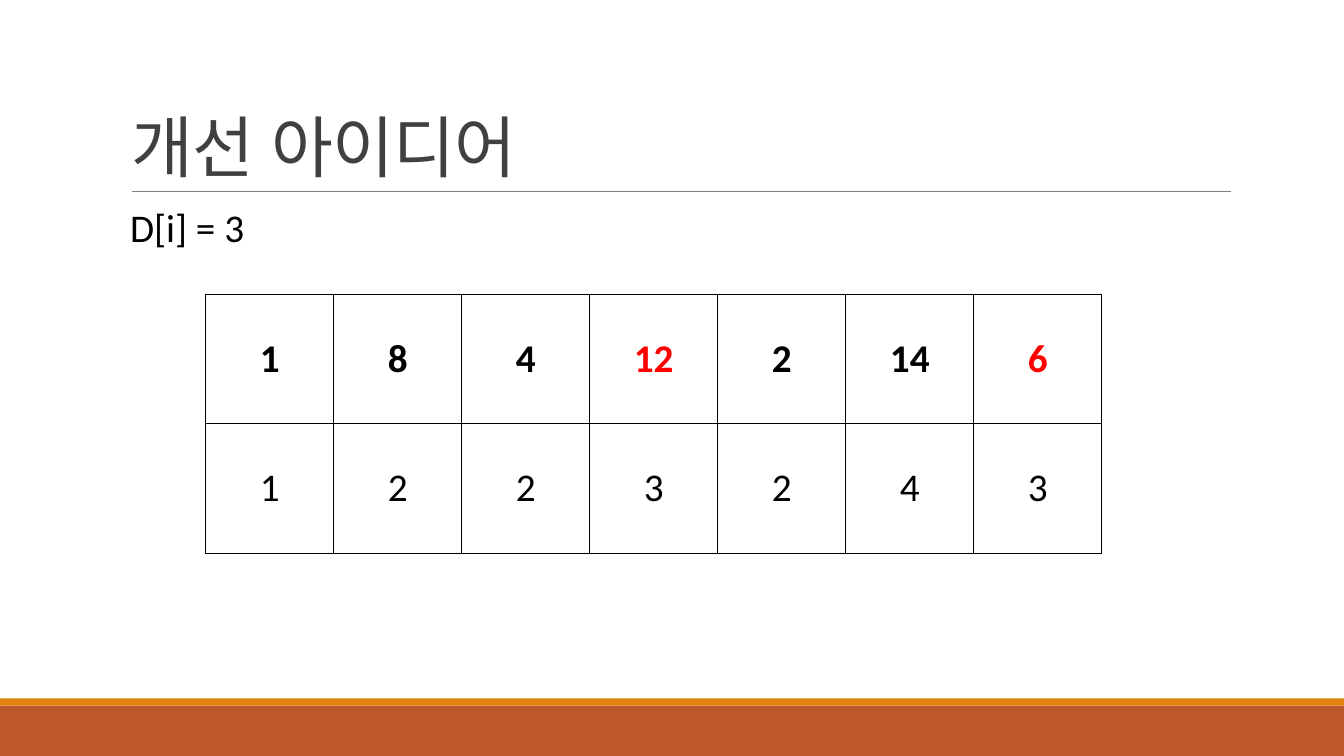
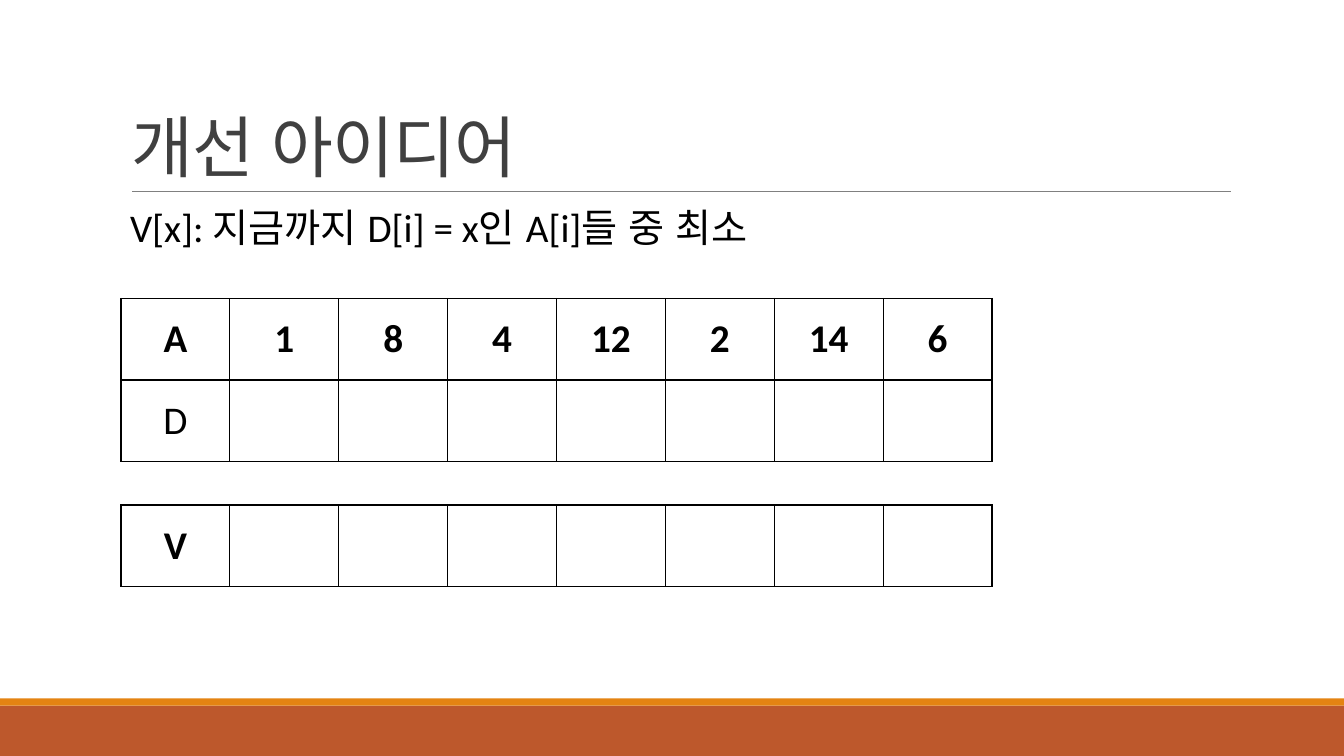
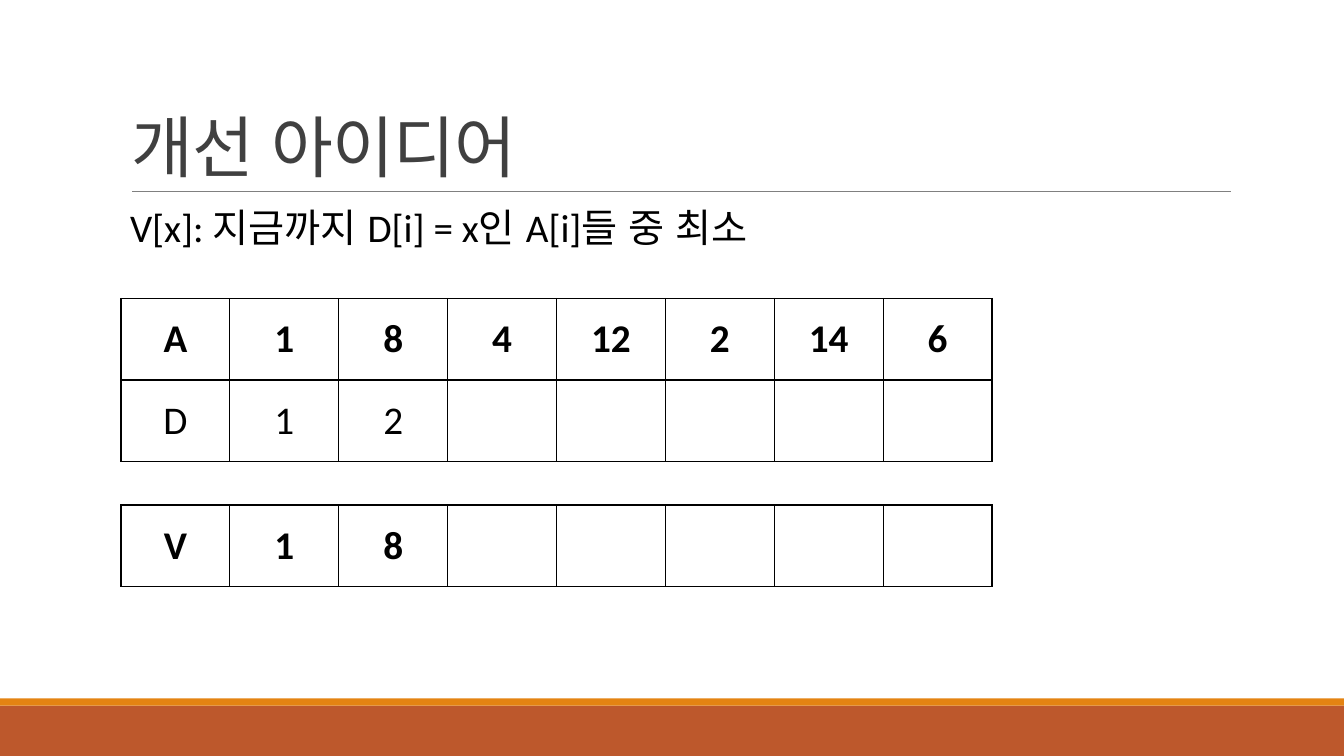
from lxml import etree
from pptx import Presentation
from pptx import util as u
from pptx.dml.color import RGBColor
from pptx.enum import lang, shapes, text
from pptx.oxml import ns

FONT = "Calibri"
BLACK, RED, GREY, RULE = "000000", "FF0000", "404040", "808080"
BANDS = [(7, 0.5, "BD582C"), (6.93, 0.07, "E48312")]  # top, height, fill
TITLE = "개선 아이디어"
DEFINITION = "V[x]: 지금까지 D[i] = x인 A[i]들 중 최소"
A_ROW = ["A", "1", "8", "4", "12", "2", "14", "6"]


def color(value):
    return RGBColor.from_string(value)


def add_run(paragraph, words, size, tint, bold=False):
    run = paragraph.add_run()
    run.text = words
    run.font.name = FONT
    run.font.size = u.Pt(size)
    run.font.bold = bold
    run.font.color.rgb = color(tint)
    run.font.language_id = lang.MSO_LANGUAGE_ID.KOREAN
    return run


# Each table: left, top, column width, row height, rows, red columns of the first row
def_place = (1.2, 2.96, 1.08, 0.81)
value_place = (1.2, 5.01, 1.08, 0.81)
pages = [
    ("D[i] = 3", [
        (2.04, 2.92, 1.27, 1.285,
         [["1", "8", "4", "12", "2", "14", "6"],
          ["1", "2", "2", "3", "2", "4", "3"]], {3, 6}),
    ]),
    (DEFINITION, [
        (*def_place, [A_ROW, ["D"] + [""] * 7], set()),
        (*value_place, [["V"] + [""] * 7], set()),
    ]),
    (DEFINITION, [
        (*def_place, [A_ROW, ["D", "1", "2"] + [""] * 5], set()),
        (*value_place, [["V", "1", "8"] + [""] * 5], set()),
    ]),
]

presentation = Presentation()
presentation.slide_width = u.Inches(13.33)
presentation.slide_height = u.Inches(7.5)

for statement, tables in pages:
    slide = presentation.slides.add_slide(presentation.slide_layouts[5])

    # Bottom bands
    for top, height, fill in BANDS:
        band = slide.shapes.add_shape(
            shapes.MSO_SHAPE.RECTANGLE, 0, u.Inches(top),
            presentation.slide_width, u.Inches(height))
        band.shadow.inherit = False
        band.fill.solid()
        band.fill.fore_color.rgb = color(fill)
        band.line.fill.background()

    # Rule under the title
    rule = slide.shapes.add_connector(
        shapes.MSO_CONNECTOR.STRAIGHT,
        u.Inches(1.31), u.Inches(1.9), u.Inches(12.21), u.Inches(1.9))
    rule.line.color.rgb = color(RULE)
    rule.line.width = u.Pt(0.5)
    etree.SubElement(rule._element.spPr, ns.qn("a:effectLst"))

    # Title
    title = slide.shapes.title
    title.left, title.top = u.Inches(1.2), u.Inches(0.31)
    title.width, title.height = u.Inches(11), u.Inches(1.59)
    frame = title.text_frame
    frame.auto_size = text.MSO_AUTO_SIZE.NONE
    frame.vertical_anchor = text.MSO_ANCHOR.BOTTOM
    paragraph = frame.paragraphs[0]
    paragraph.alignment = text.PP_ALIGN.LEFT
    paragraph.line_spacing = 0.85
    run = add_run(paragraph, TITLE, 48, GREY)
    run.font._element.set("spc", "-50")

    # Statement
    box = slide.shapes.add_textbox(
        u.Inches(1.2), u.Inches(2.02), u.Inches(11), u.Inches(4.4))
    frame = box.text_frame
    frame.word_wrap = True
    frame.margin_left, frame.margin_right = u.Inches(0.09), 0
    paragraph = frame.paragraphs[0]
    paragraph.line_spacing = 0.9
    add_run(paragraph, statement, 28, BLACK)

    # Tables
    for left, top, column_width, row_height, rows, red_columns in tables:
        table = slide.shapes.add_table(
            len(rows), len(rows[0]), u.Inches(left), u.Inches(top),
            u.Inches(column_width * len(rows[0])),
            u.Inches(row_height * len(rows))).table
        table.first_row = table.horz_banding = False
        for column in table.columns:
            column.width = u.Inches(column_width)
        for row_index, values in enumerate(rows):
            table.rows[row_index].height = u.Inches(row_height)
            for column_index, value in enumerate(values):
                cell = table.cell(row_index, column_index)
                cell.vertical_anchor = text.MSO_ANCHOR.MIDDLE
                properties = cell._tc.get_or_add_tcPr()
                for side in ("lnL", "lnR", "lnT", "lnB"):
                    border = etree.SubElement(
                        properties, ns.qn(f"a:{side}"), w=str(u.Pt(1)))
                    solid = etree.SubElement(border, ns.qn("a:solidFill"))
                    etree.SubElement(solid, ns.qn("a:srgbClr"), val=BLACK)
                cell.fill.background()
                if value:
                    paragraph = cell.text_frame.paragraphs[0]
                    paragraph.alignment = text.PP_ALIGN.CENTER
                    heading = row_index == 0
                    tint = RED if heading and column_index in red_columns else BLACK
                    add_run(paragraph, value, 28, tint, heading)

presentation.save("out.pptx")
